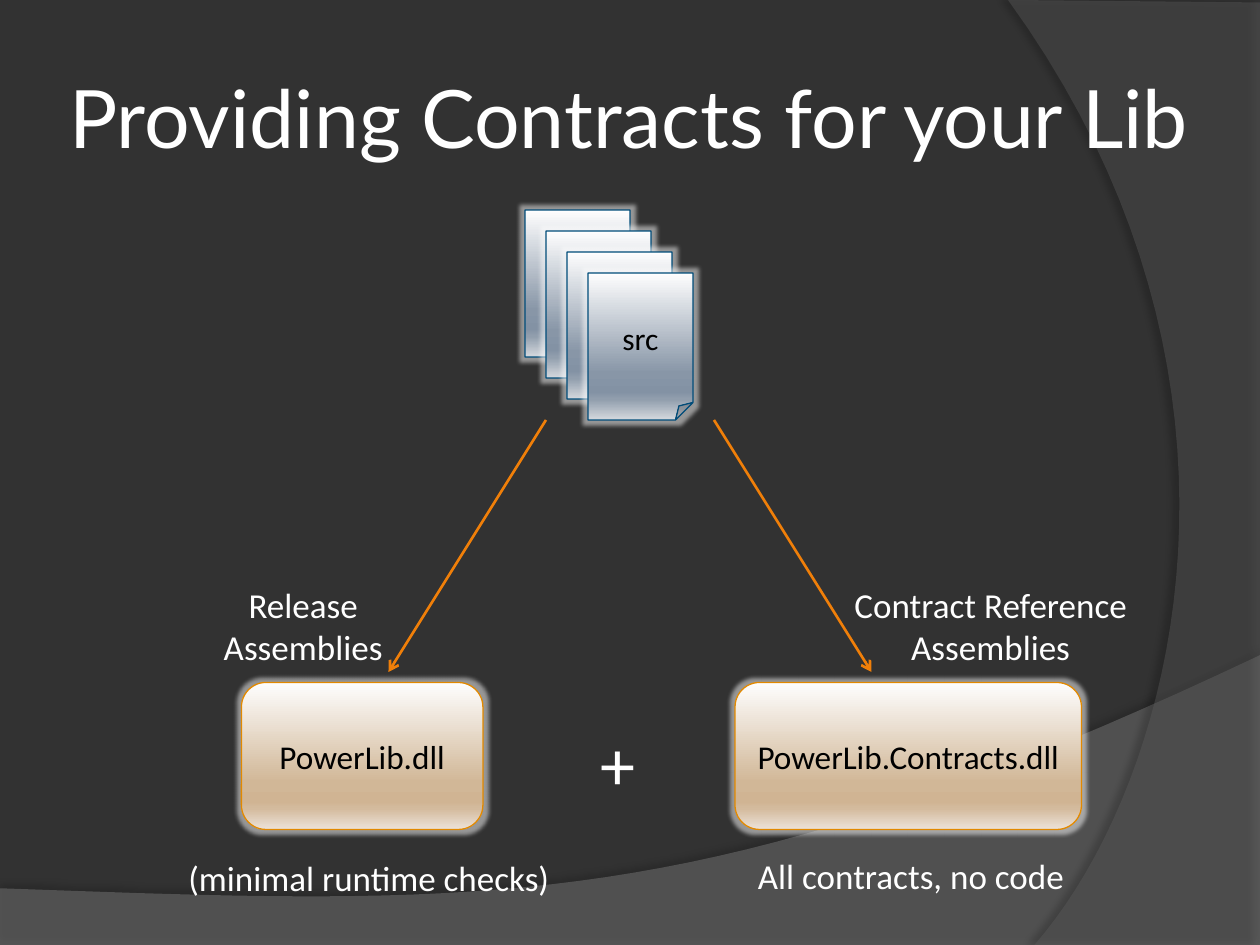
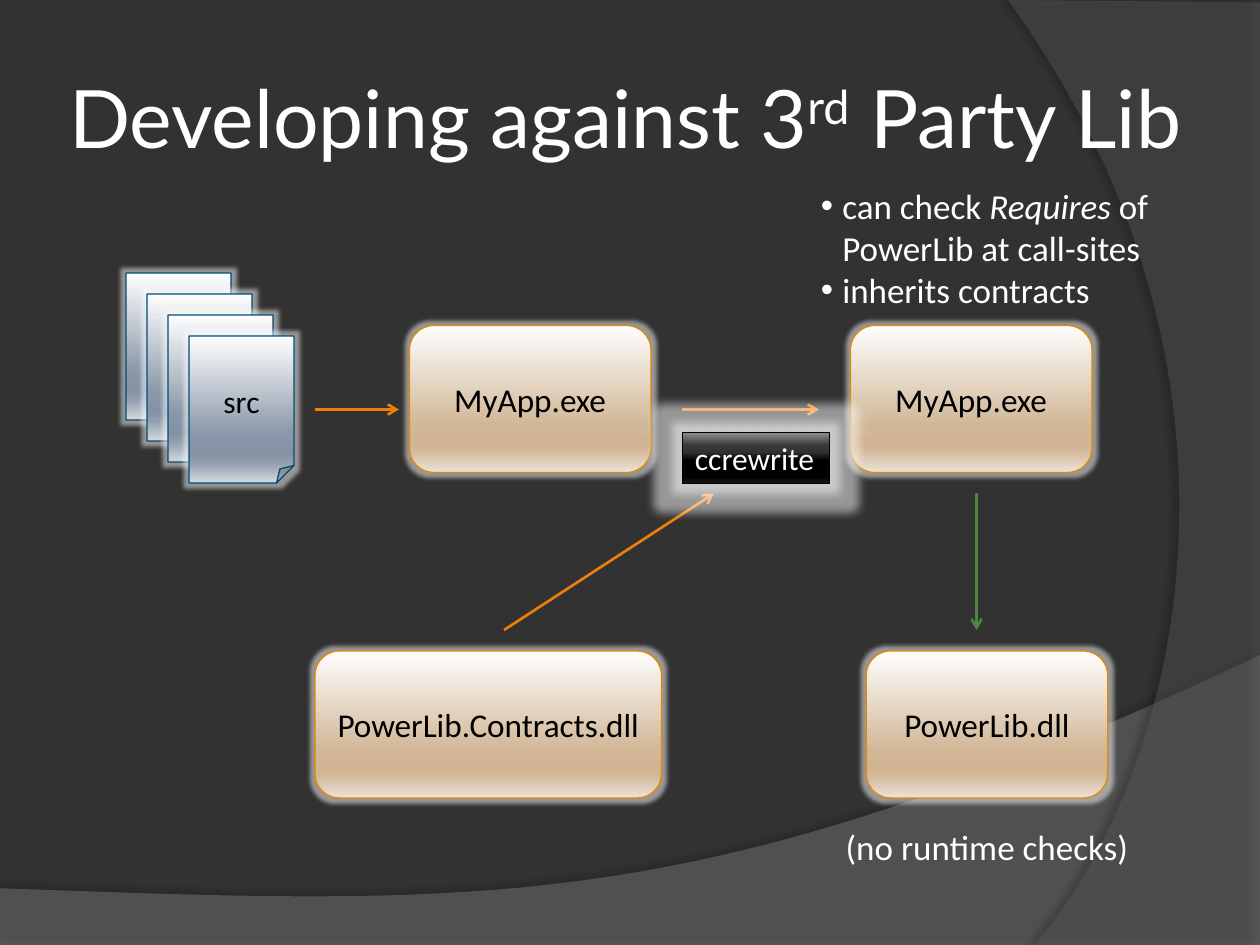
"""Build two slides on shipping contracts with a library and using them."""
from lxml import etree
from pptx import Presentation
from pptx.dml.color import RGBColor
from pptx.enum.shapes import MSO_CONNECTOR, MSO_SHAPE
from pptx.enum.text import MSO_ANCHOR, MSO_AUTO_SIZE, PP_ALIGN
from pptx.oxml.ns import qn
from pptx.util import Inches, Pt

STRAIGHT = MSO_CONNECTOR.STRAIGHT
FOLDED, ROUNDED, RECT = MSO_SHAPE.FOLDED_CORNER, MSO_SHAPE.ROUNDED_RECTANGLE, MSO_SHAPE.RECTANGLE
LEFT, CENTER = PP_ALIGN.LEFT, PP_ALIGN.CENTER
TOP, MIDDLE = MSO_ANCHOR.TOP, MSO_ANCHOR.MIDDLE
NO_FIT, GROW = MSO_AUTO_SIZE.NONE, MSO_AUTO_SIZE.SHAPE_TO_FIT_TEXT

rgb = RGBColor.from_string
WHITE, BLACK, BACK = "FFFFFF", "000000", "323232"
ORANGE, GREEN = "F07F09", "4E8542"
TITLE_FONT, BODY_FONT = "Lato", "Calibri"

# Grid of 120 columns by 90 rows
W, H = Inches(10), Inches(7.5)
U = W / 120

# preset, gradient stops, line, text size, text colour, alignment, anchor, glow points
STYLES = {
    "page": (FOLDED, [(0, "FEFEFE"), (68, "8896A7"), (81, "8392A4"), (86, "919EAD"),
                      (100, "D4D8DD")], "004C79", 18, BLACK, CENTER, MIDDLE, 5),
    "file": (ROUNDED, [(0, "FEFEFE"), (68, "D1B797"), (81, "D0B493"), (86, "D4BB9E"),
                       (100, "ECE2D8")], "E28900", 19, BLACK, CENTER, MIDDLE, 5),
    "tool": (RECT, [(0, "909090"), (25, "393939"), (38, "323232"), (55, BLACK), (88, BLACK),
                    (100, "181818")], BLACK, 18, WHITE, LEFT, TOP, 11),
}

# corners, curve, fill, opacity, shadow opacity, shadow distance, shadow direction
BANDS = [
    ([(0, 7.05), (0, 7.5), (10, 7.5)], [(10, 5.2), (5.59, 7.29), (3.91, 7.19), (0, 7.05)],
     "7F7F7F", 45, 35, 3.5, 270),
    ([(10, 0.02), (10, 7.5)], [(8.21, 7.5), (9.35, 6.19), (10.18, 3), (8, 0)],
     "5E5E5E", 40, 45, 4, 180),
]

SLIDES = [
    {
        "title": ("Providing Contracts for your Lib", 108),
        "arrows": [(52, 40, 37, 64, ORANGE), (68, 40, 83, 64, ORANGE)],
        "stack": (50, 20),
        "boxes": [("file", 23, 65, 23, 14, "PowerLib.dll"),
                  ("file", 70, 65, 33, 14, "PowerLib.Contracts.dll")],
        "labels": [(16, 81, 38, 5.25, " (minimal runtime checks)", 20, LEFT),
                   (71, 80.75, 32, 5.25, "All contracts, no code", 20, LEFT),
                   (56, 68, 5.75, 9.25, "+", 40, LEFT),
                   (20, 55, 17.75, 9.25, "Release\vAssemblies", 20, CENTER),
                   (80, 55, 28.7, 9.25, "Contract Reference\vAssemblies", 20, CENTER)],
    },
    {
        "title": ("Developing against 3|rd| Party Lib", 109),
        "arrows": [(30, 39, 38, 39, ORANGE), (65, 39, 78, 39, ORANGE),
                   (48, 60, 68, 47, ORANGE), (93, 47, 93, 60, GREEN)],
        "stack": (12, 26),
        "boxes": [("file", 82.5, 62, 23, 14, "PowerLib.dll"),
                  ("file", 30, 62, 33, 14, "PowerLib.Contracts.dll"),
                  ("file", 39, 31, 23, 14, "MyApp.exe"),
                  ("file", 81, 31, 23, 14, "MyApp.exe"),
                  ("tool", 65, 41.2, 14, 4.85, "ccrewrite")],
        "labels": [(78.6, 78, 30.4, 5.25, " (no runtime checks)", 20, LEFT)],
        "bullets": (77, 17, 35, 13.3,
                    "can check |Requires| of\vPowerLib at call-sites\ninherits contracts"),
    },
]


def sub(parent, tag, **attrs):
    """Add a child element with the given attributes."""
    return etree.SubElement(parent, qn(tag), {k: str(v) for k, v in attrs.items()})


def write(tf, text, size, color, align=LEFT, font=BODY_FONT):
    """Fill a text frame and return the runs set between bars."""
    marked = []
    for i, para in enumerate(text.split("\n")):
        p = tf.add_paragraph() if i else tf.paragraphs[0]
        p.alignment = align
        for j, line in enumerate(para.split("\v")):
            if j:
                p.add_line_break()
            for k, piece in enumerate(line.split("|")):
                r = p.add_run()
                r.text = piece
                r.font.size, r.font.name = Pt(size), font
                r.font.color.rgb = rgb(color)
                if k % 2:
                    marked.append(r)
    return marked


prs = Presentation()
prs.slide_width, prs.slide_height = W, H
master = prs.slide_master
master.background.fill.solid()
master.background.fill.fore_color.rgb = rgb(BACK)

for spec_ in SLIDES:
    s = prs.slides.add_slide(prs.slide_layouts[5])
    text, width = spec_["title"]
    sp = s.shapes.title
    sp.left, sp.top, sp.width, sp.height = (int(v * U) for v in (6, 3.6, width, 15))
    tf = sp.text_frame
    tf.word_wrap, tf.auto_size, tf.vertical_anchor = True, NO_FIT, MIDDLE
    tf.margin_left = tf.margin_right = tf.margin_top = tf.margin_bottom = Inches(0.05)
    for r in write(tf, text, 46, WHITE, font=TITLE_FONT):
        r.font._element.set("baseline", "30000")

    for *ends, color in spec_["arrows"]:
        c = s.shapes.add_connector(STRAIGHT, *(int(v * U) for v in ends))
        c.line.color.rgb, c.line.width = rgb(color), Pt(1.5)
        spPr = c._element.spPr
        sub(spPr.find(qn("a:ln")), "a:tailEnd", type="arrow")
        sub(spPr, "a:effectLst")

    col, row = spec_["stack"]
    pages = [("page", col + 2 * i, row + 2 * i, 10, 14, "src") for i in range(4)]
    for kind, *box, text in pages + spec_["boxes"]:
        preset, stops, line, size, color, align, anchor, glow = STYLES[kind]
        sp = s.shapes.add_shape(preset, *(int(v * U) for v in box))
        sp.fill.gradient()
        sp.fill.gradient_angle = 270
        spPr = sp._element.spPr
        gs_list = spPr.find(".//" + qn("a:gsLst"))
        for gs in list(gs_list):
            gs_list.remove(gs)
        for pos, stop in stops:
            sub(sub(gs_list, "a:gs", pos=pos * 1000), "a:srgbClr", val=stop)
        sp.line.color.rgb, sp.line.width = rgb(line), Pt(0.75)
        sp.shadow.inherit = False
        halo = sub(spPr.find(qn("a:effectLst")), "a:glow", rad=Pt(glow))
        sub(sub(halo, "a:srgbClr", val="FEFEFE"), "a:alpha", val=50000)
        sp.text_frame.word_wrap, sp.text_frame.vertical_anchor = True, anchor
        write(sp.text_frame, text, size, color, align)

    for *box, text, size, align in spec_["labels"]:
        tf = s.shapes.add_textbox(*(int(v * U) for v in box)).text_frame
        tf.word_wrap, tf.auto_size = False, GROW
        write(tf, text, size, WHITE, align)

    if "bullets" in spec_:
        *box, text = spec_["bullets"]
        tf = s.shapes.add_textbox(*(int(v * U) for v in box)).text_frame
        tf.word_wrap, tf.auto_size = False, GROW
        for r in write(tf, text, 20, WHITE):
            r.font.italic = True
        for p in tf.paragraphs:
            pPr = p._p.get_or_add_pPr()
            pPr.set("marL", str(Inches(0.17)))
            pPr.set("indent", str(-Inches(0.17)))
            sub(pPr, "a:buFont", typeface="Arial")
            sub(pPr, "a:buChar", char="•")

for i, (corners, curve, color, alpha, shade, dist, angle) in enumerate(BANDS):
    points = list(corners)
    for t in (n / 40 for n in range(41)):
        weights = ((1 - t) ** 3, 3 * t * (1 - t) ** 2, 3 * t * t * (1 - t), t ** 3)
        points.append(tuple(sum(w * q[axis] for w, q in zip(weights, curve)) for axis in (0, 1)))
    points = [(Inches(x), Inches(y)) for x, y in points]
    fb = s.shapes.build_freeform(*points[0], scale=1.0)
    fb.add_line_segments(points[1:], close=True)
    sp = fb.convert_to_shape()
    sp.fill.solid()
    sp.fill.fore_color.rgb = rgb(color)
    sp.line.fill.background()
    sp.shadow.inherit = False
    spPr = sp._element.spPr
    sub(spPr.find(qn("a:solidFill"))[0], "a:alpha", val=alpha * 1000)
    shadow = sub(spPr.find(qn("a:effectLst")), "a:outerShdw", blurRad=Pt(4), dist=Pt(dist),
                 dir=angle * 60000, algn="ctr", rotWithShape=0)
    sub(sub(shadow, "a:srgbClr", val=BLACK), "a:alpha", val=shade * 1000)
    sp._element.nvSpPr.cNvPr.set("id", str(20 + i))
    master.shapes._spTree.insert(2 + i, sp._element)

prs.save("out.pptx")
